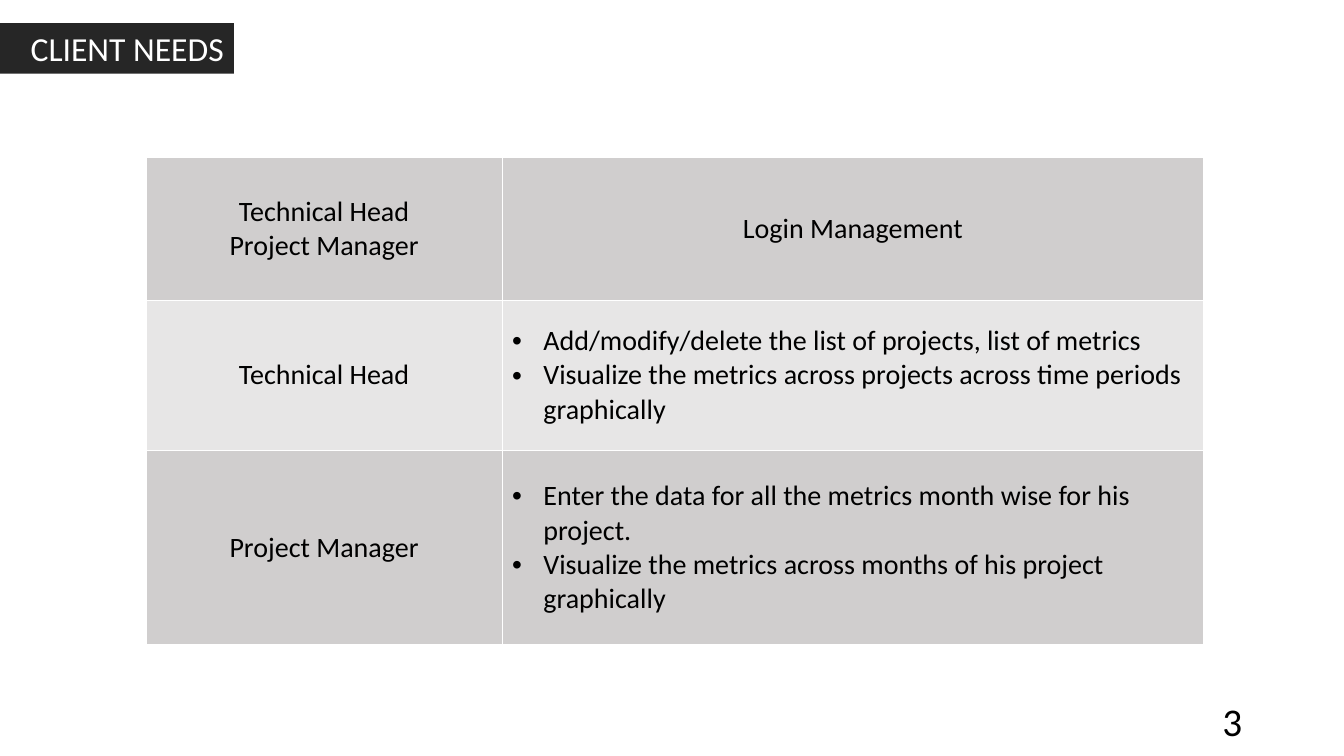
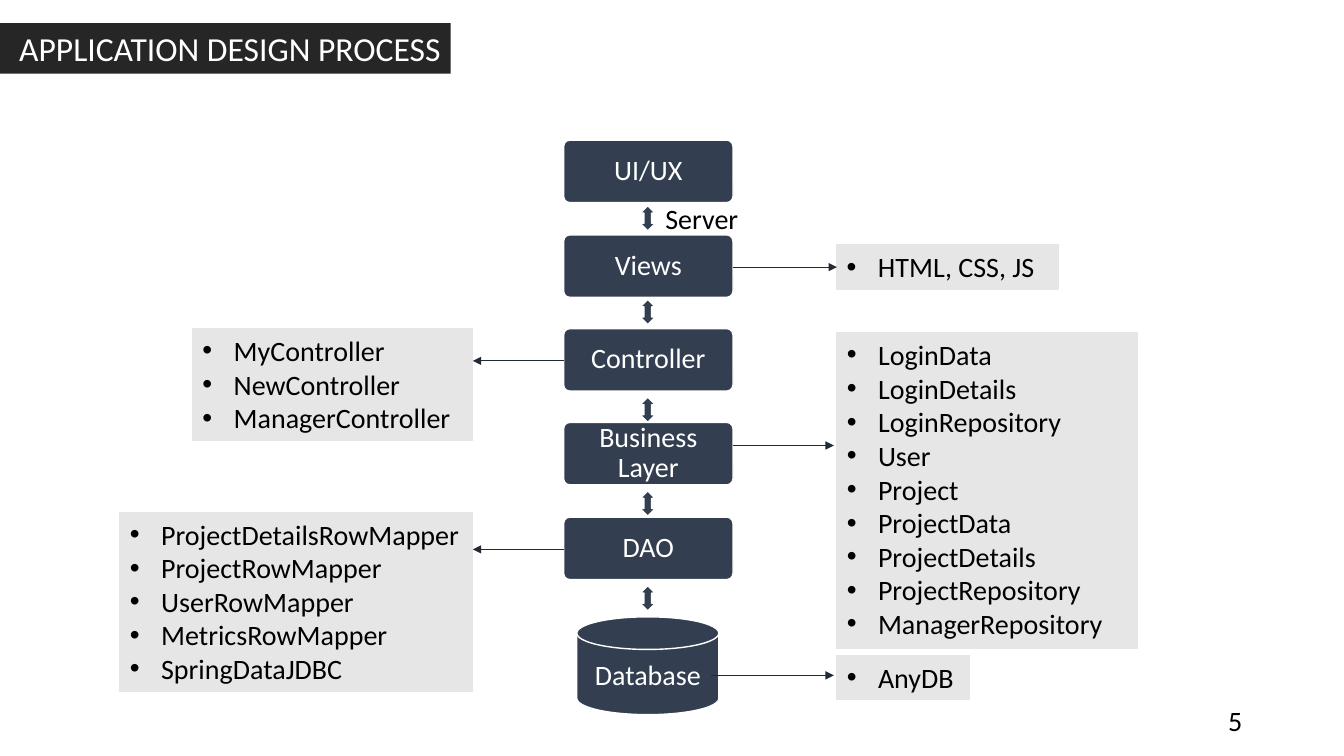
"""Builds two slides: a table of client needs and a layered application design."""
from lxml.etree import SubElement
from pptx import Presentation
from pptx.dml.color import RGBColor
from pptx.enum.shapes import MSO_CONNECTOR, MSO_SHAPE as SHAPE
from pptx.enum.text import MSO_ANCHOR as ANCHOR, MSO_AUTO_SIZE as AUTO_SIZE, PP_ALIGN as ALIGN
from pptx.oxml.ns import qn
from pptx.util import Pt

PX = 9144
FONT = "Calibri"
BLACK, WHITE, BAND = "000000", "FFFFFF", "262626"
NAVY, ARROW, GRAY, LIGHT = "333F50", "222A35", "D0CECE", "E7E6E6"
INDENT = 31
rgb = RGBColor.from_string


def write(frame, text, size=20, color=BLACK, align=ALIGN.LEFT, spacing=1.0, bullet=False):
    """Fill a text frame, one paragraph for each line of text."""
    frame.word_wrap = True
    for index, line in enumerate(text.split("\n")):
        para = frame.add_paragraph() if index else frame.paragraphs[0]
        para.alignment = align
        para.line_spacing = spacing
        span = para.add_run()
        span.text = line
        span.font.name = FONT
        span.font.size = Pt(size)
        span.font.bold = False
        span.font.color.rgb = rgb(color)
        if bullet:
            props = para._p.get_or_add_pPr()
            props.set("marL", str(INDENT * PX))
            props.set("indent", str(-INDENT * PX))
            SubElement(props, qn("a:buFont"), typeface="Arial")
            SubElement(props, qn("a:buChar"), char="•")


def add_block(page, preset, left, top, width, height, fill, line, line_width=1):
    """Add a flat preset shape with its fill and outline."""
    block = page.shapes.add_shape(preset, left * PX, top * PX, width * PX, height * PX)
    block.shadow.inherit = False
    block.fill.solid()
    block.fill.fore_color.rgb = rgb(fill)
    block.line.color.rgb = rgb(line)
    block.line.width = Pt(line_width)
    return block


deck = Presentation()
deck.slide_width, deck.slide_height = 1333 * PX, 750 * PX

pages = []
for title, title_width, number, number_size in [
    ("CLIENT NEEDS", 232, "3", 28),
    ("APPLICATION DESIGN PROCESS", 447, "5", 20),
]:
    page = deck.slides.add_slide(deck.slide_layouts[5])
    band = page.shapes.title
    band.left, band.top, band.width, band.height = 0, 23 * PX, title_width * PX, 50 * PX
    band.fill.solid()
    band.fill.fore_color.rgb = rgb(BAND)
    band.text_frame.auto_size = AUTO_SIZE.NONE
    band.text_frame.vertical_anchor = ANCHOR.MIDDLE
    write(band.text_frame, title, size=24, color=WHITE, align=ALIGN.RIGHT)
    footer = page.shapes.add_textbox(942 * PX, 695 * PX, 300 * PX, 40 * PX)
    footer.text_frame.vertical_anchor = ANCHOR.MIDDLE
    write(footer.text_frame, number, size=number_size, align=ALIGN.RIGHT)
    pages.append(page)
needs_page, design_page = pages

needs = [
    ("Technical Head\nProject Manager", "Login Management", 142, GRAY),
    ("Technical Head",
     "Add/modify/delete the list of projects, list of metrics\n"
     "Visualize the metrics across projects across time periods graphically", 149, LIGHT),
    ("Project Manager",
     "Enter the data for all the metrics month wise for his project.\n"
     "Visualize the metrics across months of his project graphically", 193, GRAY),
]
table = needs_page.shapes.add_table(len(needs), 2, 145 * PX, 156 * PX, 1049 * PX, 484 * PX).table
table.columns[0].width, table.columns[1].width = 353 * PX, 696 * PX
for row, (role, need, height, fill) in enumerate(needs):
    table.rows[row].height = height * PX
    for column, text in enumerate((role, need)):
        cell = table.cell(row, column)
        cell.fill.solid()
        cell.fill.fore_color.rgb = rgb(fill)
        cell.vertical_anchor = ANCHOR.MIDDLE
        bullet = row > 0 and column == 1
        write(cell.text_frame, text, align=ALIGN.LEFT if bullet else ALIGN.CENTER, bullet=bullet)

layers = ["UI/UX", "Views", "Controller", "Business Layer", "DAO"]
for index, name in enumerate(layers):
    layer = add_block(design_page, SHAPE.ROUNDED_RECTANGLE,
                      559, 139 + round(93.5 * index), 168, 62, NAVY, WHITE)
    layer.adjustments[0] = 0.1
    frame = layer.text_frame
    frame.margin_left = frame.margin_right = frame.margin_top = frame.margin_bottom = 9 * PX
    frame.vertical_anchor = ANCHOR.MIDDLE
    write(frame, name, color=WHITE, align=ALIGN.CENTER, spacing=0.9)

database = add_block(design_page, SHAPE.FLOWCHART_MAGNETIC_DISK, 572, 612, 141, 97, NAVY, WHITE)
database.text_frame.vertical_anchor = ANCHOR.MIDDLE
write(database.text_frame, "Database", color=WHITE, align=ALIGN.CENTER)

for top in (204, 297, 394, 487, 581):
    add_block(design_page, SHAPE.UP_DOWN_ARROW, 635, top, 15, 25, NAVY, WHITE)

for left, top, width, height, names in [
    (830, 243, 220, 44, "HTML, CSS, JS"),
    (191, 326, 278, 111, "MyController\nNewController\nManagerController"),
    (830, 330, 298, 313, "LoginData\nLoginDetails\nLoginRepository\nUser\nProject\nProjectData\n"
                         "ProjectDetails\nProjectRepository\nManagerRepository"),
    (119, 508, 350, 178, "ProjectDetailsRowMapper\nProjectRowMapper\nUserRowMapper\n"
                         "MetricsRowMapper\nSpringDataJDBC"),
    (830, 650, 132, 44, "AnyDB"),
]:
    box = add_block(design_page, SHAPE.RECTANGLE, left, top, width, height, LIGHT, LIGHT, 0.75)
    box.text_frame.vertical_anchor = ANCHOR.TOP
    write(box.text_frame, names, bullet=True)

for start, end, height in [
    (727, 830, 265), (559, 469, 358), (727, 827, 442), (559, 469, 545), (705, 827, 670),
]:
    arrow = design_page.shapes.add_connector(
        MSO_CONNECTOR.STRAIGHT, start * PX, height * PX, end * PX, height * PX)
    arrow.line.color.rgb = rgb(ARROW)
    arrow.line.width = Pt(0.5)
    SubElement(arrow.line._get_or_add_ln(), qn("a:tailEnd"), type="triangle")
    SubElement(arrow._element.spPr, qn("a:effectLst"))

server = design_page.shapes.add_textbox(650 * PX, 195 * PX, 103 * PX, 44 * PX)
write(server.text_frame, "Server")

deck.save("out.pptx")
